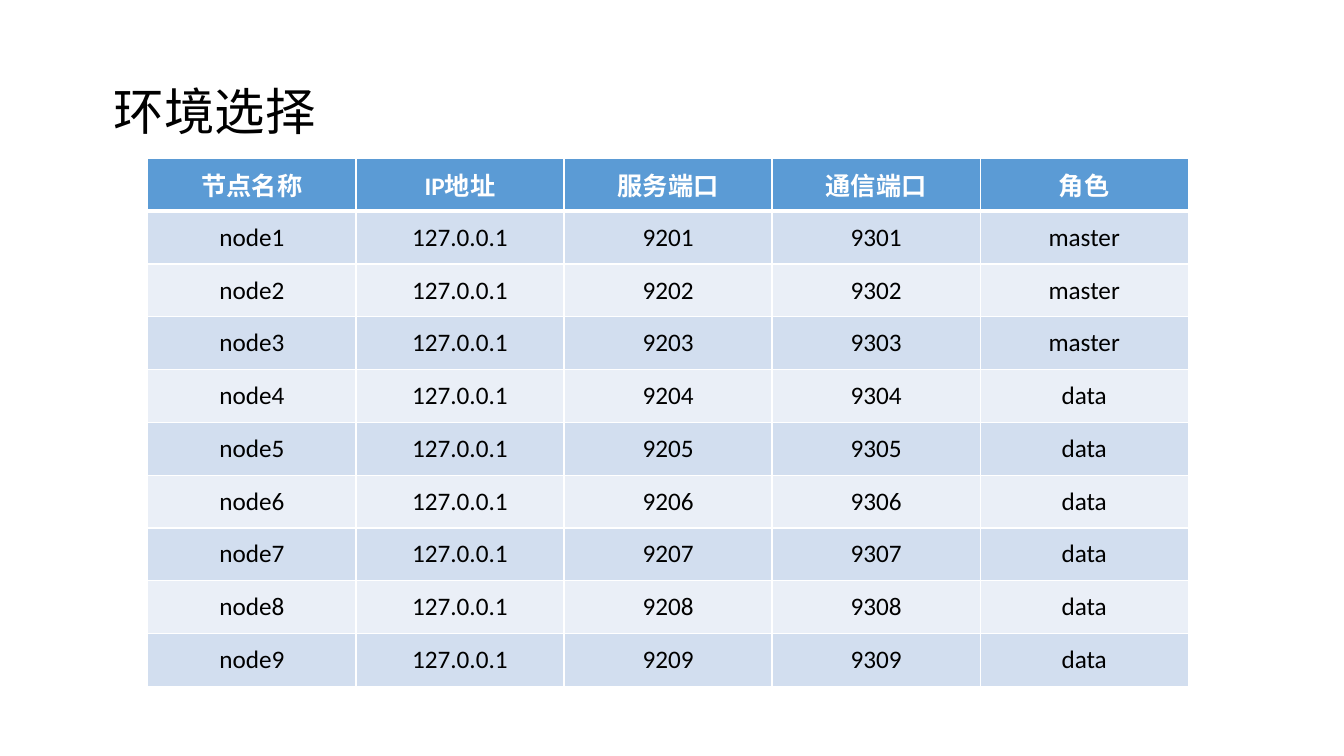
from dataclasses import dataclass
from lxml.etree import SubElement
from pptx import Presentation
from pptx.dml.color import RGBColor as RGB
from pptx.enum.text import MSO_ANCHOR as Anchor, MSO_AUTO_SIZE as AutoSize, PP_ALIGN as Align
from pptx.oxml.ns import qn
from pptx.util import Inches, Pt


@dataclass(frozen=True)
class Theme:
    font: str = "Calibri"
    title_size: int = 36
    cell_size: int = 18
    ink: str = "000000"
    white: str = "FFFFFF"
    header: str = "5B9BD5"
    bands: tuple = ("D2DEEF", "EAEFF7")
    thin: int = 1
    thick: int = 3


theme = Theme()


def add_run(paragraph, text, size, color, bold=False):
    run = paragraph.add_run()
    run.text = text
    run.font.name = theme.font
    run.font.size = Pt(size)
    run.font.bold = bold
    run.font.color.rgb = RGB.from_string(color)


def add_border(cell, side, points):
    line = SubElement(cell._tc.get_or_add_tcPr(), qn(f"a:ln{side}"), w=str(Pt(points)))
    SubElement(SubElement(line, qn("a:solidFill")), qn("a:srgbClr"), val=theme.white)


headings = ["节点名称", "IP地址", "服务端口", "通信端口", "角色"]
nodes = [
    [f"node{n}", "127.0.0.1", str(9200 + n), str(9300 + n), "master" if n <= 3 else "data"]
    for n in range(1, 10)
]
records = [headings, *nodes]

deck = Presentation()
deck.slide_width, deck.slide_height = Inches(13.33), Inches(7.5)
slide = deck.slides.add_slide(deck.slide_layouts[6])
column = Inches(10.32) // len(headings)
row = Inches(5.24) // len(records)

title = slide.shapes.add_textbox(
    column // 2, int(deck.slide_height * 0.1), Inches(2.2), Inches(0.71)
).text_frame
title.word_wrap = False
title.auto_size = AutoSize.SHAPE_TO_FIT_TEXT
add_run(title.paragraphs[0], "环境选择", theme.title_size, theme.ink)

node_table = slide.shapes.add_table(
    len(records), len(headings), int(deck.slide_width * 0.11), 3 * row,
    column * len(headings), row * len(records),
).table
for table_column in node_table.columns:
    table_column.width = column

for r, record in enumerate(records):
    node_table.rows[r].height = row
    is_header = r == 0
    fill = theme.header if is_header else theme.bands[(r - 1) % 2]
    borders = {
        "L": theme.thin,
        "R": theme.thin,
        "T": theme.thick if r == 1 else theme.thin,
        "B": theme.thick if is_header else theme.thin,
    }
    for c, value in enumerate(record):
        cell = node_table.cell(r, c)
        cell.vertical_anchor = Anchor.MIDDLE
        for side, points in borders.items():
            add_border(cell, side, points)
        cell.fill.solid()
        cell.fill.fore_color.rgb = RGB.from_string(fill)
        paragraph = cell.text_frame.paragraphs[0]
        paragraph.alignment = Align.CENTER
        add_run(paragraph, value, theme.cell_size, theme.white if is_header else theme.ink, is_header)

deck.save("out.pptx")
